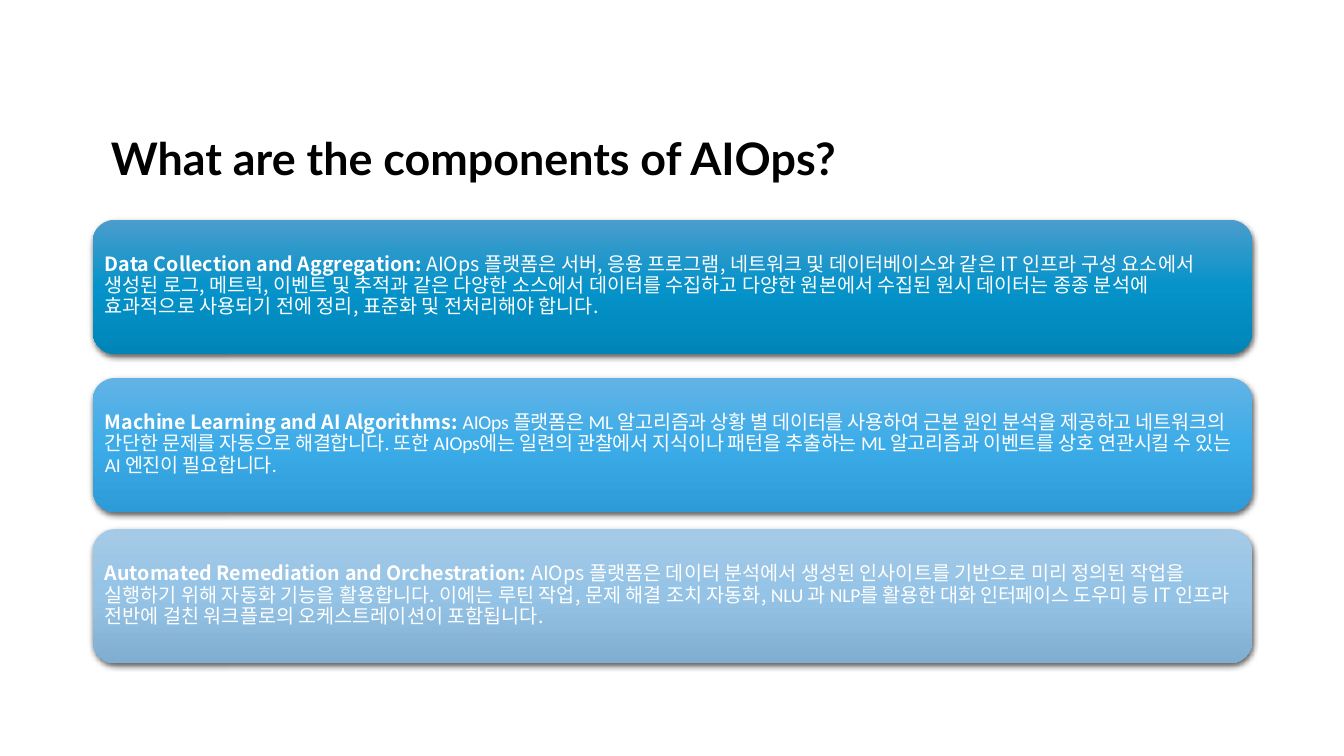
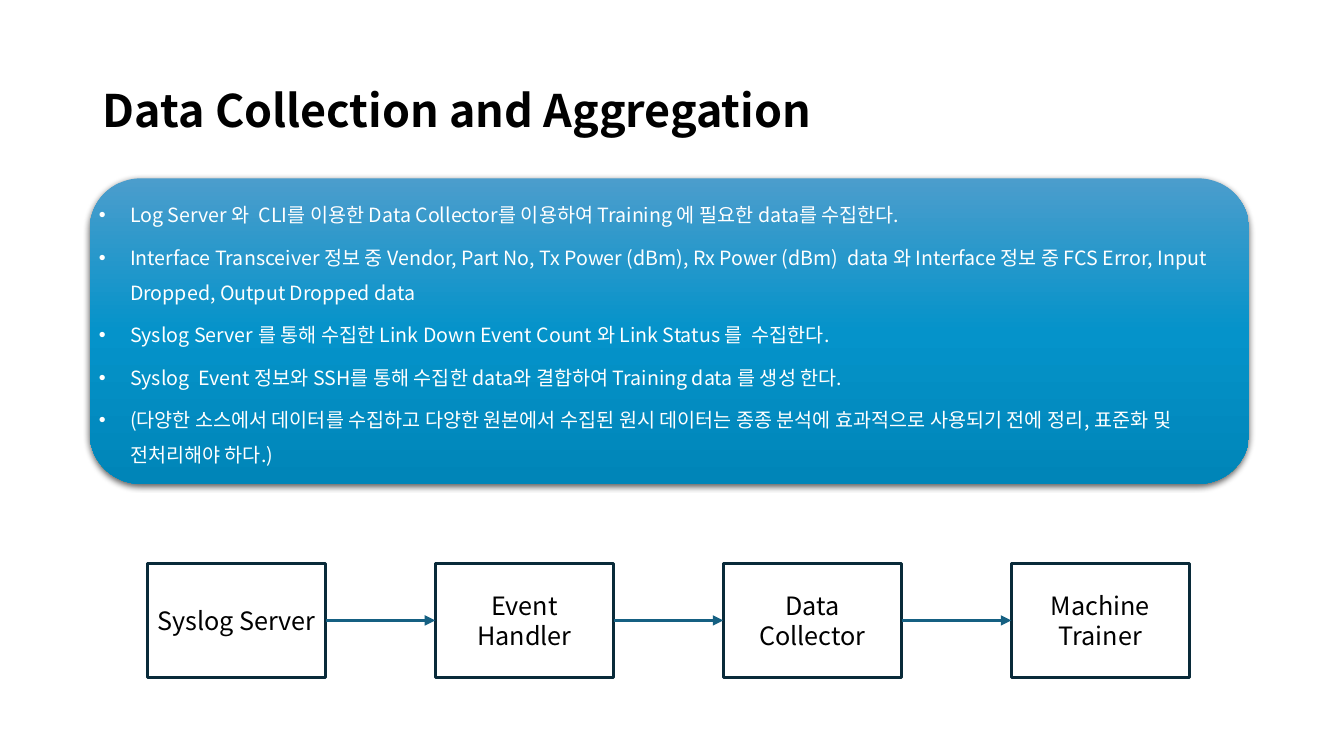
from lxml import etree
from pptx import Presentation
from pptx.dml.color import RGBColor
from pptx.enum import shapes, text
from pptx.oxml import ns, parse_xml
from pptx.util import Inches, Pt

BLACK = RGBColor(0x00, 0x00, 0x00)
WHITE = RGBColor(0xFF, 0xFF, 0xFF)
EDGE = RGBColor(0x09, 0x2A, 0x39)
ARROW = RGBColor(0x15, 0x60, 0x82)
DEEP = [RGBColor.from_string(c) for c in ("4B9DCC", "0593CA", "0085B8")]
SKY = [RGBColor.from_string(c) for c in ("62B3E5", "3CACE8", "2D9BD7")]
PALE = [RGBColor.from_string(c) for c in ("A5CAE7", "94C3E6", "7FAED1")]

NOTO, LATO, CAL = "Noto Sans CJK KR", "Lato", "Calibri"
BOLD = {"bold": True}
TIGHT = {"font": CAL, "spc": -20}

CARDS = [
    (2.18, DEEP, [
        ("Data Collection and Aggregation: ", BOLD),
        ("AIOps 플랫폼은 서버, 응용 프로그램, 네트워크 및 데이터베이스와 같은 IT 인프라 구성 요소에서 "
         "생성된 로그, 메트릭, 이벤트 및 추적과 같은 다양한 소스에서 데이터를 수집하고 다양한 원본에서 "
         "수집된 원시 데이터는 종종 분석에 효과적으로 사용되기 전에 정리, 표준화 및 전처리해야 합니다.", {}),
    ]),
    (3.75, SKY, [
        ("Machine Learning and AI Algorithms: ", BOLD),
        ("AIOps 플랫폼은 ML 알고리즘과 상황 별 데이터를 사용하여 근본 원인 분석을 제공하고 "
         "네트워크의 간단한 문제를 자동으로 해결합니다. 또한 AIOps에는 일련의 관찰에서 지식이나 패턴을 "
         "추출하는 ML 알고리즘과 이벤트를 상호 연관시킬 수 있는 AI 엔진이 필요합니다.", TIGHT),
    ]),
    (5.25, PALE, [
        ("Automated Remediation and Orchestration: ", BOLD),
        ("AIOps 플랫폼은 데이터 분석에서 생성된 인사이트를 기반으로 미리 정의된 작업을 실행하기 위해 "
         "자동화 기능을 활용합니다. 이에는 루틴 작업, 문제 해결 조치 자동화, ", {}),
        ("NLU 과 NLP를 ", TIGHT),
        ("활용한 ", {"spc": -20}),
        ("대화 인터페이스 도우미 등 ", TIGHT),
        ("IT 인프라 전반에 걸친 워크플로의 오케스트레이션이 포함됩니다.", {}),
    ]),
]

POINTS = [
    "Log Server 와  CLI를 이용한 Data Collector를 이용하여 Training 에 필요한 data를 수집한다.",
    "Interface Transceiver 정보 중 Vendor, Part No, Tx Power (dBm), Rx Power (dBm)  data 와 "
    "Interface 정보 중 FCS Error, Input Dropped, Output Dropped data",
    "Syslog Server 를 통해 수집한 Link Down Event Count 와 Link Status 를  수집한다.",
    "Syslog  Event 정보와 SSH를 통해 수집한 data와 결합하여 Training data 를 생성 한다.",
    "(다양한 소스에서 데이터를 수집하고 다양한 원본에서 수집된 원시 데이터는 종종 분석에 "
    "효과적으로 사용되기 전에 정리, 표준화 및 전처리해야 하다.)",
]

STEPS = ["Syslog Server", "Event Handler", "Data Collector", "Machine\vTrainer"]


def inch(box):
    """Turn a box in inches into lengths."""
    return [Inches(v) for v in box]


def add_run(para, words, size=14, color=WHITE, font=NOTO, bold=False, spc=0):
    """Add one formatted run, keeping line breaks."""
    for i, part in enumerate(words.split("\v")):
        if i:
            para.add_line_break()
        run = para.add_run()
        run.text = part
        run.font.size, run.font.bold = Pt(size), bold
        run.font.name, run.font.color.rgb = font, color
        props = run.font._element
        etree.SubElement(props, ns.qn("a:ea")).set("typeface", NOTO)
        if spc:
            props.set("spc", str(spc))


def write(frame, paras, align=text.PP_ALIGN.LEFT, line=1.0, after=0, pad=None,
          bullet=False, **form):
    """Fill a text frame; each paragraph is a list of (words, format)."""
    frame.word_wrap = True
    frame.auto_size = text.MSO_AUTO_SIZE.NONE
    frame.vertical_anchor = text.MSO_ANCHOR.MIDDLE
    if pad is not None:
        frame.margin_left = frame.margin_right = Inches(pad)
        frame.margin_top = frame.margin_bottom = Inches(pad)
    for i, runs in enumerate(paras):
        para = frame.add_paragraph() if i else frame.paragraphs[0]
        para.alignment, para.line_spacing = align, line
        para.space_before, para.space_after = Pt(0), Pt(after)
        if bullet:
            props = para._p.get_or_add_pPr()
            props.set("marL", str(Inches(0.31)))
            props.set("indent", str(-Inches(0.31)))
            etree.SubElement(props, ns.qn("a:buFont")).set("typeface", "Arial")
            etree.SubElement(props, ns.qn("a:buChar")).set("char", "•")
        for words, own in runs:
            add_run(para, words, **{**form, **own})


def add_slide(deck, title, box, font):
    """Add a title-only slide and place its title."""
    slide = deck.slides.add_slide(deck.slide_layouts[5])
    head = slide.shapes.title
    head.left, head.top, head.width, head.height = inch(box)
    write(head.text_frame, [[(title, {})]], line=0.9, size=32, color=BLACK,
          font=font, bold=True)
    return slide


def add_card(slide, box, inner, tones, paras, **form):
    """Draw a shaded rounded card with text over it, inner relative to box."""
    card = slide.shapes.add_shape(shapes.MSO_SHAPE.ROUNDED_RECTANGLE, *inch(box))
    card.line.fill.background()
    stops = "".join(f'<a:gs pos="{i * 50000}"><a:srgbClr val="{tone}"/></a:gs>'
                    for i, tone in enumerate(tones))
    props = card._element.spPr
    props.find(ns.qn("a:prstGeom")).addnext(parse_xml(
        f'<a:gradFill {ns.nsdecls("a")} rotWithShape="1"><a:gsLst>{stops}</a:gsLst>'
        '<a:lin ang="5400000" scaled="0"/></a:gradFill>'))
    props.append(parse_xml(
        f'<a:effectLst {ns.nsdecls("a")}><a:outerShdw blurRad="{Pt(4.5)}" '
        f'dist="{Pt(1.5)}" dir="5400000" algn="ctr" rotWithShape="0">'
        '<a:srgbClr val="000000"><a:alpha val="63000"/></a:srgbClr>'
        '</a:outerShdw></a:effectLst>'))
    x, y, w, h = inner
    area = slide.shapes.add_textbox(*inch((box[0] + x, box[1] + y, w, h)))
    write(area.text_frame, paras, pad=0.06, after=5, **form)


def add_step(slide, box, words):
    """Draw one outlined step of the flow."""
    step = slide.shapes.add_shape(shapes.MSO_SHAPE.RECTANGLE, *inch(box))
    step.shadow.inherit = False
    step.fill.background()
    step.line.color.rgb, step.line.width = EDGE, Pt(2)
    write(step.text_frame, [[(words, {})]], align=text.PP_ALIGN.CENTER,
          size=18, color=BLACK)
    return step


def add_arrow(slide, start, end):
    """Join two steps with an arrow."""
    link = slide.shapes.add_connector(shapes.MSO_CONNECTOR.STRAIGHT, 0, 0, 0, 0)
    link.begin_connect(start, 3)
    link.end_connect(end, 1)
    link.line.color.rgb, link.line.width = ARROW, Pt(2.5)
    etree.SubElement(link.line._get_or_add_ln(), ns.qn("a:tailEnd")).set("type", "triangle")
    etree.SubElement(link._element.spPr, ns.qn("a:effectLst"))


def add_flow(slide, box, steps, wide):
    """Spread the steps evenly over the box and join them."""
    x, y, w, h = box
    pitch = (w - wide) / (len(steps) - 1)
    nodes = [add_step(slide, (x + i * pitch, y, wide, h), words)
             for i, words in enumerate(steps)]
    for start, end in zip(nodes, nodes[1:]):
        add_arrow(slide, start, end)


def parts_slide(deck):
    """Build the slide of the three components."""
    slide = add_slide(deck, "What are the components of AIOps?",
                      (1, 0.87, 11.42, 1.45), LATO)
    for top, tones, runs in CARDS:
        add_card(slide, (0.92, top, 11.5, 1.33), (0.06, 0.06, 11.37, 1.2),
                 tones, [runs], line=0.9)


def data_slide(deck):
    """Build the slide of data collection and its flow."""
    slide = add_slide(deck, "Data Collection and Aggregation",
                      (0.92, 0.4, 11.5, 1.45), NOTO)
    add_flow(slide, (1.46, 5.59, 10.34, 1.13), STEPS, 1.77)
    add_card(slide, (0.89, 1.77, 11.5, 3.03), (0.03, 0.13, 11.37, 2.73),
             DEEP, [[(point, {})] for point in POINTS], line=1.5, bullet=True)


def main():
    """Build and save the deck."""
    deck = Presentation()
    deck.slide_width, deck.slide_height = Inches(13.33), Inches(7.5)
    parts_slide(deck)
    data_slide(deck)
    deck.save("out.pptx")


if __name__ == "__main__":
    main()
